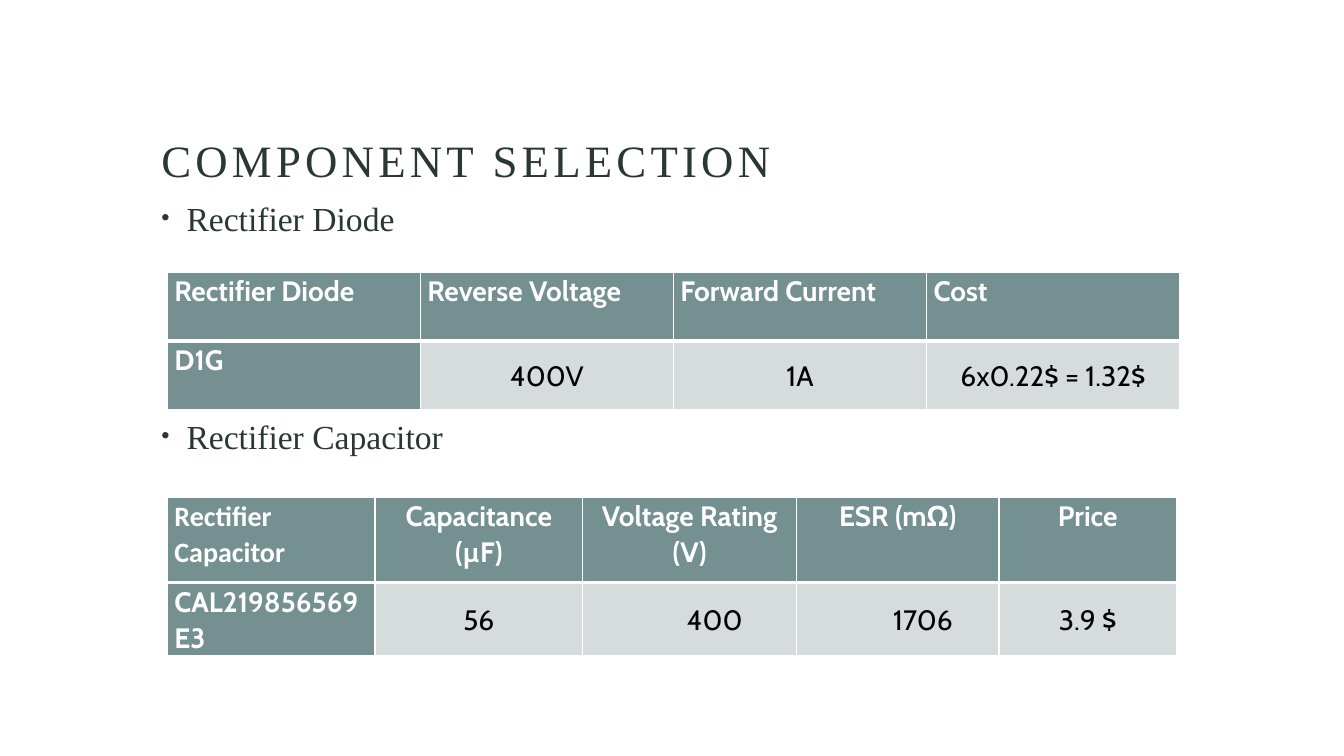
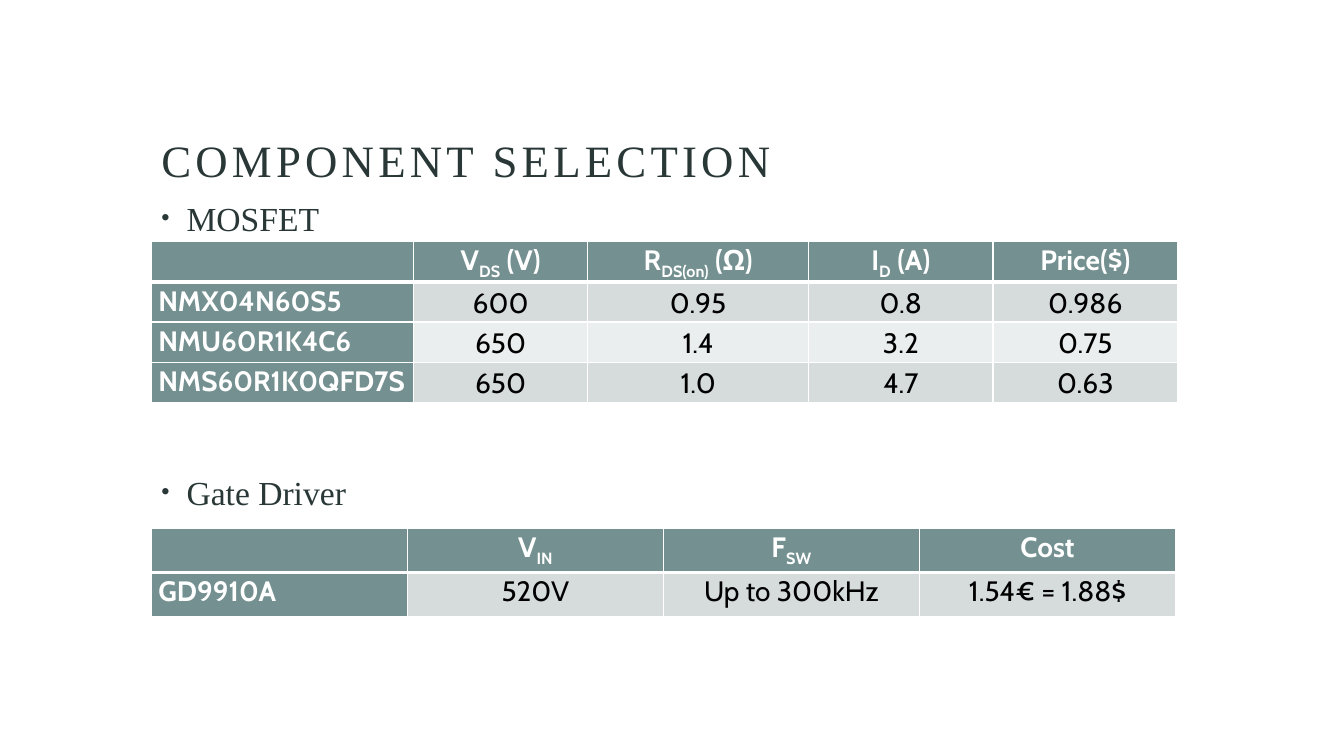
"""Build two component selection slides with bulleted headings and data tables."""
import lxml.etree
import pptx
import pptx.dml.color
import pptx.enum.text
import pptx.oxml.ns
import pptx.util

Inches = pptx.util.Inches
Pt = pptx.util.Pt
Align = pptx.enum.text.PP_ALIGN
Anchor = pptx.enum.text.MSO_ANCHOR

INK = "293737"
TEAL = "749090"
BANDS = ("D6DBDB", "EBEEEE")
WHITE = "FFFFFF"
BLACK = "000000"
SERIF = "Times New Roman"
SANS = "Cabin"


def color(value):
    """Return the colour for a hex string."""
    return pptx.dml.color.RGBColor.from_string(value)


def add_xml(parent, tag, **attributes):
    """Append a DrawingML element with the given attributes."""
    return lxml.etree.SubElement(parent, pptx.oxml.ns.qn(tag), attributes)


def write(para, text, size=20, font=SANS, ink=BLACK, bold=False, align=Align.LEFT,
          line=1.0, before=0, after=0, spacing=0):
    """Fill a paragraph; every second part of a tuple is a subscript."""
    para.alignment = align
    para.line_spacing = line
    para.space_before, para.space_after = Pt(before), Pt(after)
    parts = text if isinstance(text, tuple) else (text,)
    for index, part in enumerate(parts):
        span = para.add_run()
        span.text = part
        span.font.size, span.font.name, span.font.bold = Pt(size), font, bold
        span.font.color.rgb = color(ink)
        properties = span.font._element
        if index % 2:
            properties.set("baseline", "-25000")
        if spacing:
            properties.set("spc", str(spacing * 100))


def place(box, left, top, width, height, anchor):
    """Position a placeholder and fix its text frame."""
    box.left, box.top = Inches(left), Inches(top)
    box.width, box.height = Inches(width), Inches(height)
    frame = box.text_frame
    frame.word_wrap = True
    frame.auto_size = pptx.enum.text.MSO_AUTO_SIZE.NONE
    frame.vertical_anchor = anchor
    return frame


def indent(para, margin, first):
    """Set the left margin and first line indent of a paragraph."""
    properties = para._p.get_or_add_pPr()
    properties.set("marL", str(Inches(margin)))
    properties.set("indent", str(Inches(first)))
    return properties


def add_page(deck, headings, gap):
    """Add a titled slide whose bulleted headings are gap points apart."""
    page = deck.slides.add_slide(deck.slide_layouts[1])
    title = place(page.shapes.title, 1.5, 0.41, 10.38, 1.5, Anchor.BOTTOM)
    write(title.paragraphs[0], "COMPONENT SELECTION", size=32, font=SERIF, ink=INK,
          line=0.9, spacing=3)
    body = place(page.placeholders[1], 1.5, 1.91, 10.38, 4.28, Anchor.TOP)
    for index, heading in enumerate(headings):
        para = body.add_paragraph() if index else body.paragraphs[0]
        write(para, heading, size=24, font=SERIF, ink=INK, before=gap if index else 10)
        properties = indent(para, 0.25, -0.25)
        add_xml(properties, "a:buSzPct", val="70000")
        add_xml(properties, "a:buFont", typeface="Arial")
        add_xml(properties, "a:buChar", char="•")
    return page


def style_cell(cell, fill, top, bottom):
    """Set the margins, white borders and fill of a table cell."""
    cell.margin_left = cell.margin_right = Inches(0.07)
    cell.margin_top = cell.margin_bottom = 0
    properties = cell._tc.get_or_add_tcPr()
    for side, width in (("L", 1), ("R", 1), ("T", top), ("B", bottom)):
        border = add_xml(properties, "a:ln" + side, w=str(Pt(width)))
        add_xml(add_xml(border, "a:solidFill"), "a:srgbClr", val=WHITE)
    cell.fill.solid()
    cell.fill.fore_color.rgb = color(fill)


def add_data_table(page, left, top, columns, heights, rows, header_align=Align.CENTER,
                   corner_align=Align.LEFT, corner_font=SANS, value_anchor=Anchor.MIDDLE,
                   indented=()):
    """Add a table with a heading row, a heading column and banded values."""
    table = page.shapes.add_table(len(rows), len(columns), Inches(left), Inches(top),
                                  Inches(sum(columns)), Inches(sum(heights))).table
    for column, width in zip(table.columns, columns):
        column.width = Inches(width)
    for row, height in zip(table.rows, heights):
        row.height = Inches(height)
    for y, texts in enumerate(rows):
        for x, text in enumerate(texts):
            cell = table.cell(y, x)
            heading = y == 0 or x == 0
            style_cell(cell, TEAL if heading else BANDS[(y - 1) % 2],
                       top=3 if y == 1 else 1, bottom=3 if y == 0 else 1)
            cell.vertical_anchor = Anchor.TOP if heading else value_anchor
            if not text:
                continue
            align = corner_align if x == 0 else header_align if y == 0 else Align.CENTER
            para = cell.text_frame.paragraphs[0]
            write(para, text, font=corner_font if x == y == 0 else SANS,
                  ink=WHITE if heading else BLACK, bold=heading, align=align,
                  line=1.07, after=8)
            if not heading and x in indented:
                indent(para, 0, 0.5)


def main():
    """Build and save the deck."""
    deck = pptx.Presentation()
    deck.slide_width, deck.slide_height = Inches(13.33), Inches(7.5)

    rectifier = add_page(deck, ("Rectifier Diode", "Rectifier Capacitor"), gap=127)
    add_data_table(rectifier, 1.66, 2.7, [2.51] * 4, [0.68] * 2, [
        ("Rectifier Diode", "Reverse Voltage", "Forward Current", "Cost"),
        ("D1G", "400V", "1A", "6x0.22$ = 1.32$"),
    ], header_align=Align.LEFT)
    add_data_table(rectifier, 1.66, 4.93, [2.06, 2.06, 2.12, 2.01, 1.76], [0.85, 0.62], [
        ("Rectifier Capacitor", "Capacitance (µF)", "Voltage Rating (V)", "ESR (mΩ)", "Price"),
        ("CAL219856569E3", "56", "400", "1706", "3.9 $"),
    ], corner_font="Calibri", indented=(2, 3))

    switch = add_page(deck, ("MOSFET", "Gate Driver"), gap=167)
    add_data_table(switch, 1.5, 2.39, [2.6, 1.73, 2.19, 1.83, 1.83], [0.4] * 4, [
        ("", ("V", "DS", " (V)"), ("R", "DS(on)", " (Ω)"), ("I", "D", " (A)"), "Price($)"),
        ("NMX04N60S5", "600", "0.95", "0.8", "0.986"),
        ("NMU60R1K4C6", "650", "1.4", "3.2", "0.75"),
        ("NMS60R1K0QFD7S", "650", "1.0", "4.7", "0.63"),
    ])
    add_data_table(switch, 1.5, 5.24, [2.54] * 4, [0.44] * 2, [
        ("", ("V", "IN"), ("F", "SW"), "Cost"),
        ("GD9910A", "520V", "Up to 300kHz", "1.54€ = 1.88$"),
    ], value_anchor=Anchor.TOP)

    deck.save("out.pptx")


if __name__ == "__main__":
    main()
